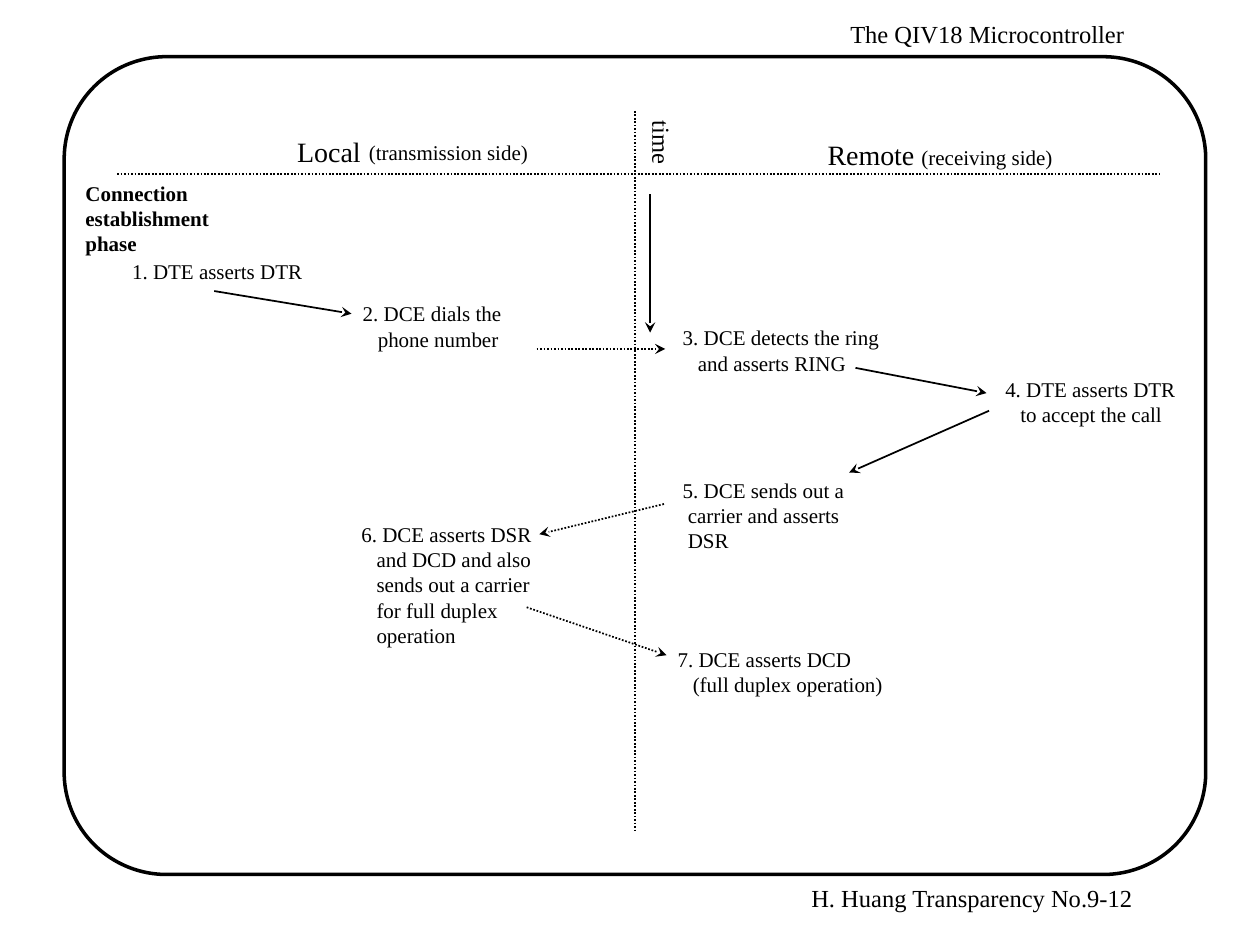
"""Draw the modem connection sequence between the local and remote sides."""
from pptx import Presentation
from pptx.dml.color import RGBColor
from pptx.enum.dml import MSO_LINE
from pptx.enum.shapes import MSO_CONNECTOR, MSO_SHAPE
from pptx.enum.text import MSO_AUTO_SIZE
from pptx.oxml.ns import qn
from pptx.util import Pt
from lxml.etree import SubElement

PX = 9144


def color(code):
    return RGBColor.from_string(code)


class Board:
    font = "Times New Roman"
    ink = "000000"
    paper = "FFFFFF"

    def __init__(self, slide):
        self.slide = slide

    def frame(self, x, y, w, h):
        box = self.slide.shapes.add_shape(
            MSO_SHAPE.ROUNDED_RECTANGLE, x * PX, y * PX, w * PX, h * PX)
        box.adjustments[0] = 0.125
        box.shadow.inherit = False
        box.fill.solid()
        box.fill.fore_color.rgb = color(self.paper)
        box.line.color.rgb = color(self.ink)
        box.line.width = Pt(2)

    def style(self, run, size, bold=False):
        run.font.name = self.font
        run.font.size = Pt(size)
        run.font.bold = bold
        run.font.color.rgb = color(self.ink)

    def text(self, x, y, w, h, lines, size=12, bold=False, indent=0, turn=0):
        box = self.slide.shapes.add_textbox(x * PX, y * PX, w * PX, h * PX)
        box.rotation = turn
        frame = box.text_frame
        frame.word_wrap = False
        frame.auto_size = MSO_AUTO_SIZE.SHAPE_TO_FIT_TEXT
        frame.text = lines
        for row, para in enumerate(frame.paragraphs):
            if row and indent:
                para._p.get_or_add_pPr().set("marL", str(indent * PX))
            for run in para.runs:
                self.style(run, size, bold)
        return frame

    def line(self, x1, y1, x2, y2, dotted=False, arrow=True):
        link = self.slide.shapes.add_connector(
            MSO_CONNECTOR.STRAIGHT, x1 * PX, y1 * PX, x2 * PX, y2 * PX)
        link.line.color.rgb = color(self.ink)
        link.line.width = Pt(1)
        if dotted:
            link.line.dash_style = MSO_LINE.ROUND_DOT
        if arrow:
            SubElement(link.line._get_or_add_ln(), qn("a:tailEnd"), type="stealth")
        SubElement(link._element.spPr, qn("a:effectLst"))


def main():
    deck = Presentation()
    deck.slide_width, deck.slide_height = 1000 * PX, 750 * PX
    board = Board(deck.slides.add_slide(deck.slide_layouts[6]))

    board.frame(51, 45, 906, 649)
    board.text(634, 696, 338, 33, "H. Huang Transparency No.9-12", 14)
    board.text(665, 10, 300, 33, "The QIV18 Microcontroller", 14)

    board.line(93, 138, 920, 138, dotted=True, arrow=False)
    board.line(504, 88, 504, 659, dotted=True, arrow=False)
    board.text(226, 102, 71, 37, "Local", 16)
    board.text(283, 106, 147, 30, "(transmission side)")
    remote = board.text(647, 104, 199, 37, "Remote ", 16)
    side = remote.paragraphs[0].add_run()
    side.text = "(receiving side)"
    board.style(side, 12)
    board.text(498, 97, 55, 33, "time", 14, turn=90)
    board.line(516, 154, 516, 264)
    board.text(58, 138, 123, 70, "Connection\nestablishment\nphase", bold=True)

    steps = [
        (95, 200, 155, 30, "1. DTE asserts DTR", 0),
        (278, 234, 135, 50, "2. DCE dials the\nphone number", 12),
        (532, 253, 176, 50, "3. DCE detects the ring\nand asserts RING", 12),
        (788, 294, 155, 50, "4. DTE asserts DTR\nto accept the call", 12),
        (532, 374, 149, 70, "5. DCE sends out a\ncarrier and asserts\nDSR", 4),
        (277, 409, 160, 110, "6. DCE asserts DSR\nand DCD and also\n"
         "sends out a carrier\nfor full duplex\noperation", 12),
        (528, 508, 184, 50, "7. DCE asserts DCD\n(full duplex operation)", 12),
    ]
    for x, y, w, h, lines, indent in steps:
        board.text(x, y, w, h, lines, indent=indent)

    arrows = [
        (170, 231, 279, 249, False),
        (426, 277, 528, 277, True),
        (679, 292, 783, 312, False),
        (785, 326, 674, 375, False),
        (527, 400, 428, 424, True),
        (418, 482, 529, 520, True),
    ]
    for x1, y1, x2, y2, dotted in arrows:
        board.line(x1, y1, x2, y2, dotted)

    deck.save("out.pptx")


if __name__ == "__main__":
    main()
